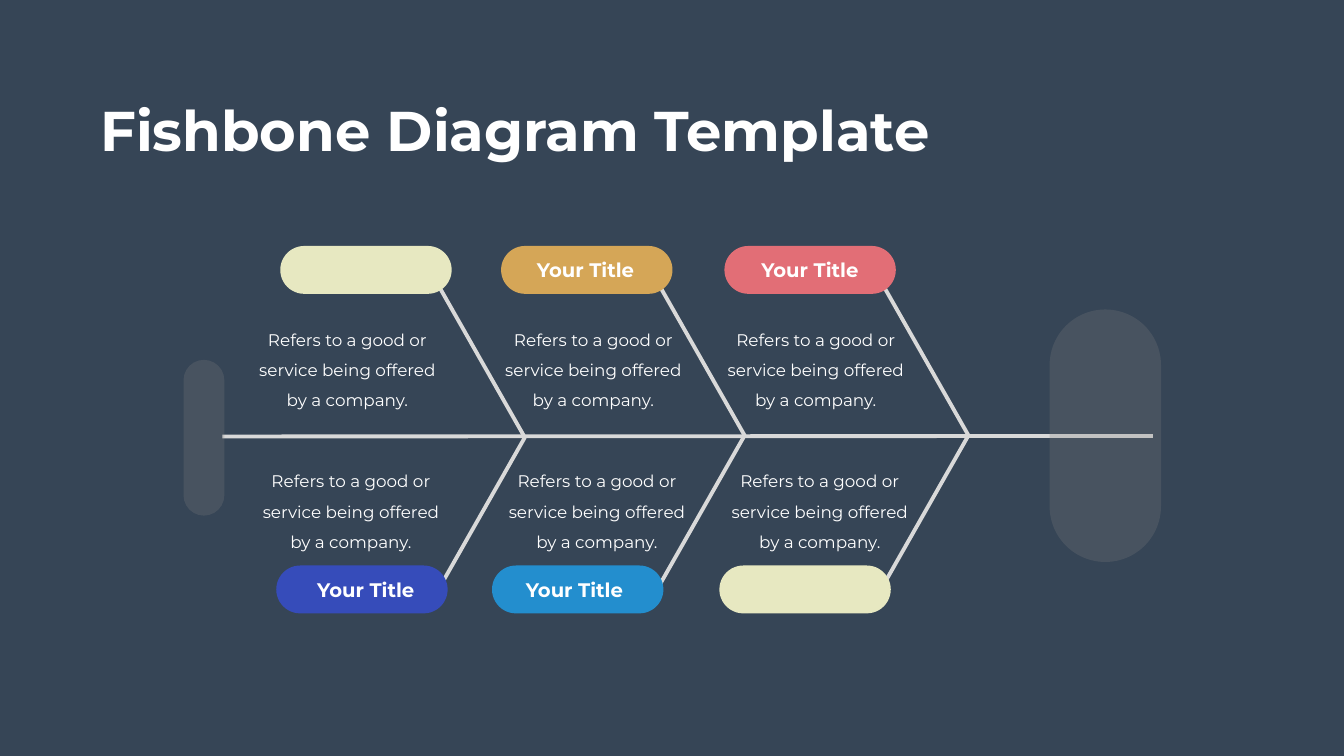
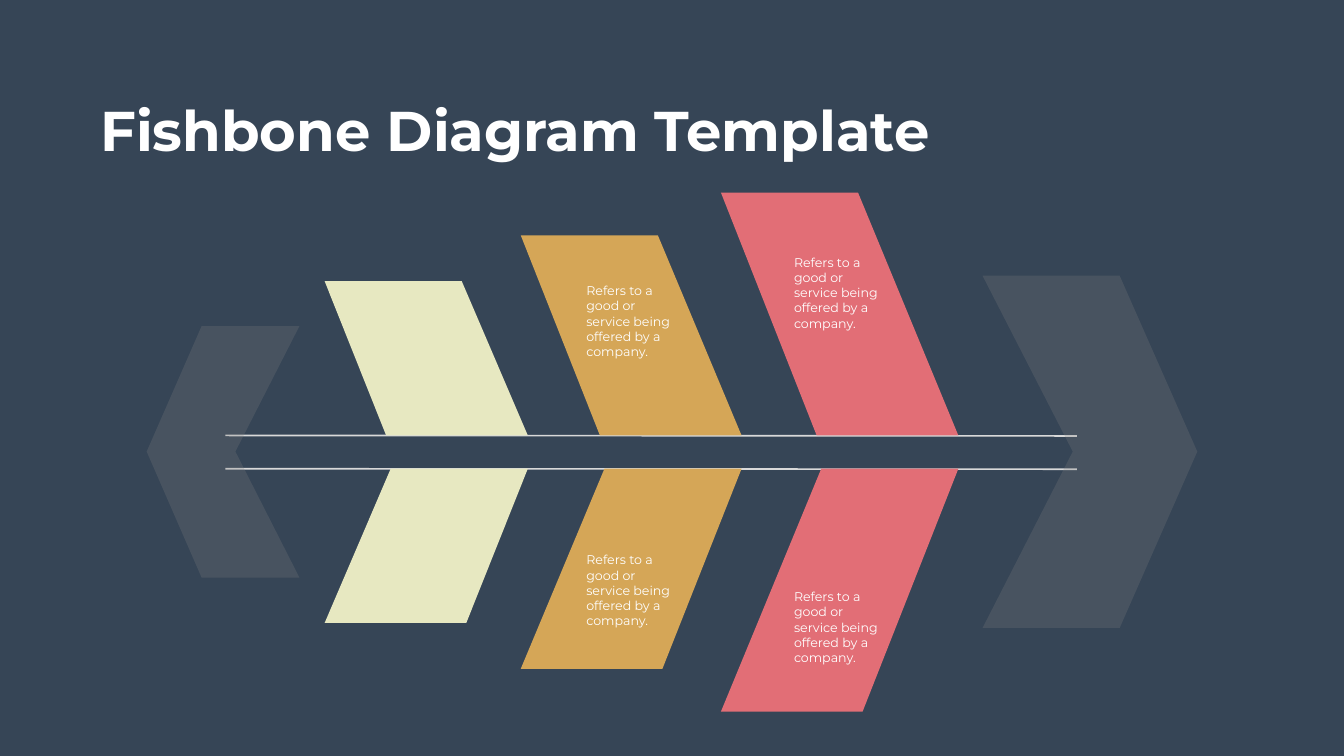
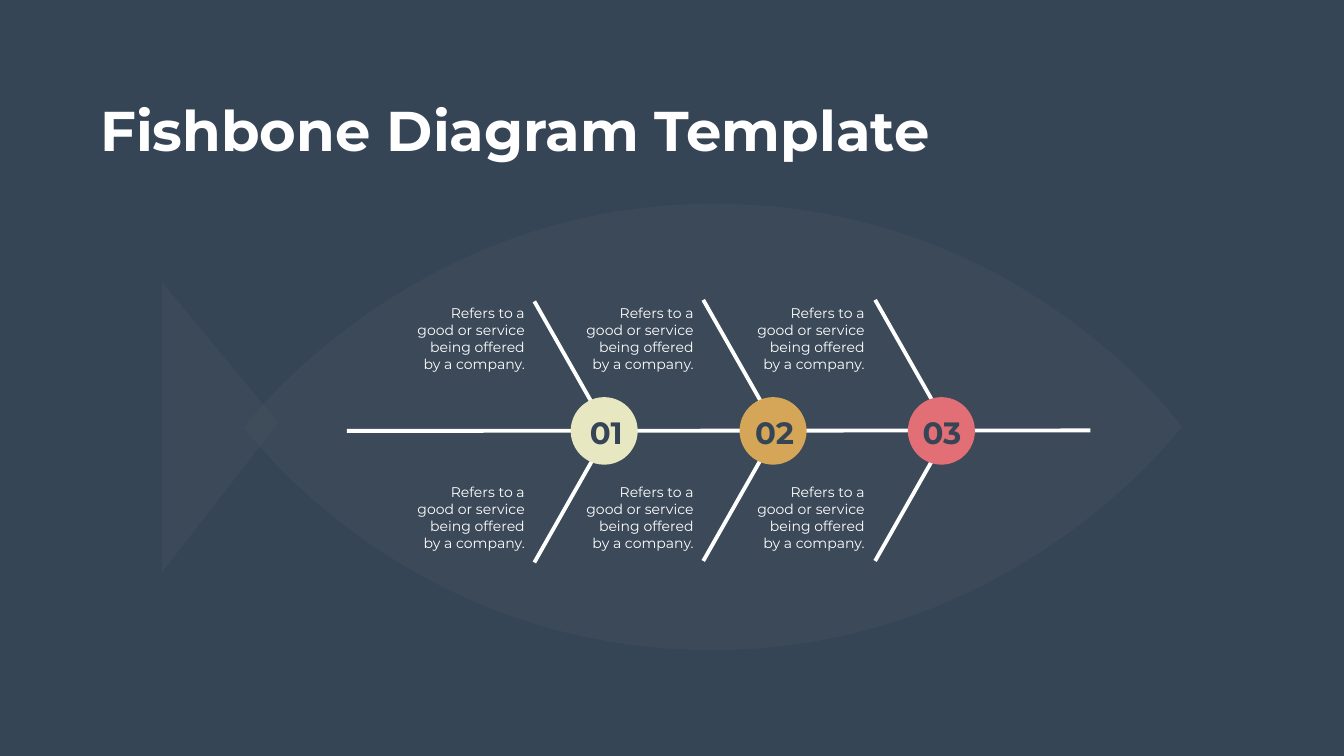
from dataclasses import dataclass
from typing import NamedTuple, Optional

from lxml.etree import Element, SubElement
from pptx import Presentation
from pptx.dml.color import RGBColor as RGB
from pptx.enum.shapes import MSO_CONNECTOR as CONNECTOR, MSO_SHAPE as SHAPE
from pptx.enum.text import MSO_AUTO_SIZE as AUTO, PP_ALIGN as ALIGN
from pptx.oxml.ns import qn
from pptx.util import Emu, Pt

PX = 9144
BODY = "Refers to a good or service being offered by a company."
Point = tuple[int, int]


@dataclass(frozen=True)
class Theme:
    font: str = "Montserrat"
    back: str = "364556"
    white: str = "FFFFFF"
    bone: str = "D9D9D9"
    ghost: str = "808080"
    cream: str = "E7E8C1"
    gold: str = "D5A657"
    coral: str = "E26E76"
    indigo: str = "364CBA"
    blue: str = "238ECE"
    title_pt: int = 80
    number_pt: int = 44
    label_pt: int = 28
    body_pt: int = 24
    rib_body_pt: int = 20
    fin_body_pt: int = 18
    body_leading: int = 43
    bone_pt: float = 5.5
    rail_pt: float = 2.3
    body_alpha: int = 25
    fish_alpha: int = 7


T = Theme()


class Box(NamedTuple):
    x: int
    y: int
    w: int
    h: int


@dataclass(frozen=True)
class TextStyle:
    size: int
    color: str = T.white
    bold: bool = False
    align: ALIGN = ALIGN.LEFT
    leading: Optional[int] = None
    inset: Point = (10, 5)
    wrap: bool = True


PADDED = (24, 12)
TITLE = TextStyle(T.title_pt, bold=True, wrap=False)
LABEL = TextStyle(T.label_pt, bold=True, align=ALIGN.CENTER)
NUMBER = TextStyle(T.number_pt, T.back, bold=True, align=ALIGN.CENTER)
PILL_BODY = TextStyle(T.body_pt, align=ALIGN.CENTER, leading=T.body_leading, inset=PADDED)
FIN_BODY = TextStyle(T.fin_body_pt, inset=PADDED)
RIB_BODY = TextStyle(T.rib_body_pt, align=ALIGN.RIGHT, inset=PADDED)


class Pill(NamedTuple):
    x: int
    body_x: int
    color: str
    label_x: Optional[int] = None


class PillRow(NamedTuple):
    y: int
    label_y: int
    body_y: int
    pills: tuple[Pill, ...]


class Fin(NamedTuple):
    left: int
    right: int
    height: int
    color: str
    text_x: int = 0
    text_tops: tuple[int, ...] = ()


class Joint(NamedTuple):
    number: str
    rib_x: int
    rib_y: int
    circle_x: int
    number_x: int
    body_x: int
    color: str


def emu(*lengths: int) -> list[Emu]:
    return [Emu(n * PX) for n in lengths]


def paint(sp, color: str, alpha: int = 100) -> None:
    sp.shadow.inherit = False
    sp.line.fill.background()
    sp.fill.solid()
    sp.fill.fore_color.rgb = RGB.from_string(color)
    if alpha < 100:
        clr = sp._element.spPr.find(qn("a:solidFill"))[0]
        SubElement(clr, qn("a:alpha"), val=str(alpha * 1000))


def stroke(line, color: str, width: float) -> None:
    line.color.rgb = RGB.from_string(color)
    line.width = Pt(width)


def add_preset(s, kind: SHAPE, box: Box, color: str, alpha: int = 100) -> None:
    sp = s.shapes.add_shape(kind, *emu(*box))
    if kind == SHAPE.ROUNDED_RECTANGLE:
        sp.adjustments[0] = 0.5
    paint(sp, color, alpha)


def outline(s, points: list[Point], close: bool):
    fb = s.shapes.build_freeform(*points[0], scale=PX)
    fb.add_line_segments(points[1:], close=close)
    return fb.convert_to_shape()


def add_polygon(s, points: list[Point], color: str, alpha: int = 100) -> None:
    paint(outline(s, points, True), color, alpha)


def add_curved(s, points: list[Point], color: str, alpha: int) -> None:
    sp = outline(s, points, True)
    lines = list(sp._element.iter(qn("a:lnTo")))
    for i in range(0, len(lines), 3):
        bezier = Element(qn("a:cubicBezTo"))
        lines[i].addprevious(bezier)
        for line in lines[i:i + 3]:
            bezier.append(line[0])
            line.getparent().remove(line)
    paint(sp, color, alpha)


def add_rib(s, x: int, y: int, reach: int, drop: int, color: str) -> None:
    sp = outline(s, [(x, y), (x + reach, y + drop), (x, y + 2 * drop)], False)
    sp.shadow.inherit = False
    sp.fill.background()
    stroke(sp.line, color, T.bone_pt)


def add_line(s, start: Point, end: Point, color: str, width: float) -> None:
    c = s.shapes.add_connector(CONNECTOR.STRAIGHT, *emu(*start, *end))
    stroke(c.line, color, width)
    SubElement(c._element.spPr, qn("a:effectLst"))


def add_text(s, box: Box, text: str, style: TextStyle) -> None:
    tf = s.shapes.add_textbox(*emu(*box)).text_frame
    tf.word_wrap = style.wrap
    tf.auto_size = AUTO.SHAPE_TO_FIT_TEXT
    tf.margin_left = tf.margin_right = Emu(style.inset[0] * PX)
    tf.margin_top = tf.margin_bottom = Emu(style.inset[1] * PX)
    p = tf.paragraphs[0]
    p.text = text
    p.alignment = style.align
    if style.leading:
        p.line_spacing = Pt(style.leading)
    p.font.name = T.font
    p.font.size = Pt(style.size)
    p.font.bold = style.bold
    p.font.color.rgb = RGB.from_string(style.color)


def add_slide(prs):
    s = prs.slides.add_slide(prs.slide_layouts[6])
    s.background.fill.solid()
    s.background.fill.fore_color.rgb = RGB.from_string(T.back)
    return s


def add_title(s) -> None:
    add_text(s, Box(189, 185, 1671, 145), "Fishbone Diagram Template", TITLE)


def pill_slide(prs) -> None:
    s = add_slide(prs)
    rows = (
        PillRow(488, 507, 622, (
            Pill(556, 482, T.cream),
            Pill(994, 970, T.gold, 1000),
            Pill(1437, 1411, T.coral, 1445),
        )),
        PillRow(1122, 1141, 903, (
            Pill(548, 489, T.indigo, 564),
            Pill(976, 977, T.blue, 978),
            Pill(1427, 1419, T.cream),
        )),
    )
    add_line(s, (2287, 865), (441, 866), T.bone, T.bone_pt)
    for x, y in ((1729, 526), (1285, 526), (849, 530)):
        add_rib(s, x, y, 192, 338, T.bone)
    for row in rows:
        for pill in row.pills:
            add_preset(s, SHAPE.ROUNDED_RECTANGLE, Box(pill.x, row.y, 340, 95), pill.color)
    for box in (Box(364, 714, 81, 309), Box(2082, 614, 221, 501)):
        add_preset(s, SHAPE.ROUNDED_RECTANGLE, box, T.ghost, T.body_alpha)
    for row in rows:
        for pill in row.pills:
            add_text(s, Box(pill.body_x, row.body_y, 414, 198), BODY, PILL_BODY)
            if pill.label_x is not None:
                add_text(s, Box(pill.label_x, row.label_y, 323, 57), "Your Title", LABEL)
    add_title(s)


def fin_slide(prs) -> None:
    s = add_slide(prs)
    upper, lower = 864, 930
    outer, inner = 272, 281
    fins = (
        Fin(1430, 1901, 482, T.coral, 1551, (494, 1157)),
        Fin(1033, 1471, 397, T.gold, 1139, (550, 1084)),
        Fin(644, 1047, 306, T.cream),
    )
    for y in (upper, lower):
        add_line(s, (447, y), (2136, y + 1), T.bone, T.rail_pt)
    head = [(2221, 1246), (1949, 1246), (2128, 896), (1949, 547), (2221, 547), (2375, 896)]
    tail = [(400, 647), (594, 647), (467, 896), (594, 1146), (400, 1146), (291, 896)]
    for points in (head, tail):
        add_polygon(s, points, T.ghost, T.body_alpha)
    for base, side, tip_w, base_w in ((upper, -1, outer, inner), (lower, 1, inner, outer)):
        for fin in fins:
            tip = base + side * fin.height
            add_polygon(s, [
                (fin.left, tip), (fin.left + tip_w, tip),
                (fin.right, base), (fin.right - base_w, base),
            ], fin.color)
    for fin in fins:
        for y in fin.text_tops:
            add_text(s, Box(fin.text_x, y, 225, 175), BODY, FIN_BODY)
    add_title(s)


def fish_slide(prs) -> None:
    s = add_slide(prs)
    joints = (
        Joint("01", 1060, 598, 1132, 1123, 795, T.cream),
        Joint("02", 1395, 595, 1467, 1457, 1130, T.gold),
        Joint("03", 1736, 595, 1801, 1789, 1469, T.coral),
    )
    back = [(2345, 847), (2315, 808), (2016, 425), (1461, 405),
            (848, 382), (502, 823), (484, 847)]
    belly = [(2828 - x, 1694 - y) for x, y in back]
    for half in (belly, back):
        add_curved(s, half, T.ghost, T.fish_alpha)
    add_line(s, (2163, 854), (688, 855), T.white, T.bone_pt)
    for j in joints:
        add_rib(s, j.rib_x, j.rib_y, 147, 259, T.white)
    for j in joints:
        add_preset(s, SHAPE.OVAL, Box(j.circle_x, 788, 133, 134), j.color)
    add_polygon(s, [(321, 559), (552, 839), (321, 1136)], T.ghost, T.fish_alpha)
    for j in joints:
        for y in (593, 948):
            add_text(s, Box(j.body_x, y, 270, 159), BODY, RIB_BODY)
        add_text(s, Box(j.number_x, 815, 159, 84), j.number, NUMBER)
    add_title(s)


def main() -> None:
    prs = Presentation()
    prs.slide_width, prs.slide_height = emu(2666, 1500)
    for build in (pill_slide, fin_slide, fish_slide):
        build(prs)
    prs.save("out.pptx")


if __name__ == "__main__":
    main()
